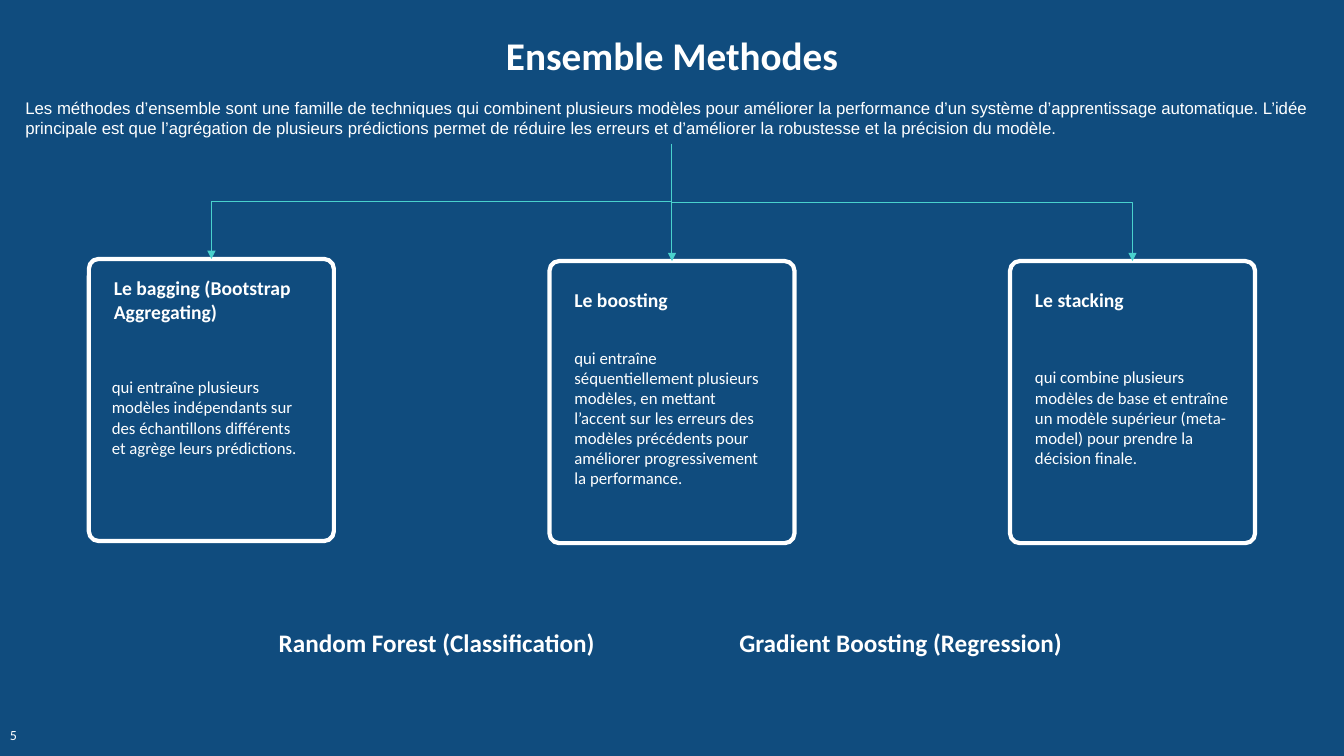
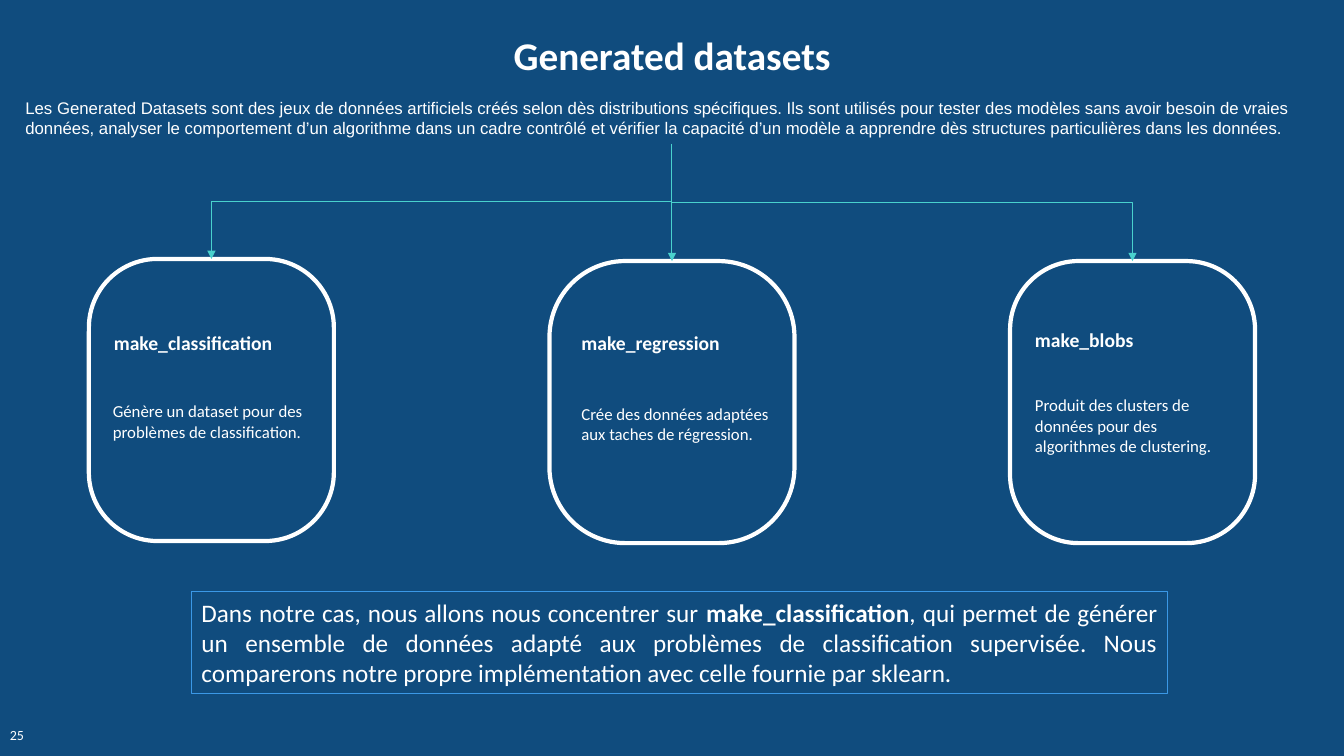
from dataclasses import dataclass

from lxml import etree
from pptx import Presentation
from pptx import util as u
from pptx.dml.color import RGBColor
from pptx.enum import shapes, text
from pptx.oxml import ns

Pt = u.Pt
COLORS = {"background": "104C7E", "text": "FFFFFF", "card": "FFFFFF",
          "arrow": "49D1CD", "note": "3B98E6"}
CARD_LEFT, CARD_STEP, CARD_W, CARD_H = 63.5, 329, 175, 201.5
CARD_TOPS = (185, 186.5, 186.5)
LABEL_LEFT, LABEL_W = 192, 246


@dataclass
class Card:
    heading: str
    heading_top: float
    body: str
    body_top: float
    body_h: float
    radius: float
    heading_indent: float = 10.7
    body_indent: float = 10.7


def rgb(name):
    return RGBColor.from_string(COLORS[name])


def write(tf, content, size=12, font="Calibri", bold=False,
          align=text.PP_ALIGN.LEFT, anchor=text.MSO_ANCHOR.TOP):
    """Fill a frame with a string, or with a list of (string, bold) runs."""
    tf.word_wrap = True
    tf.vertical_anchor = anchor
    p = tf.paragraphs[0]
    p.alignment = align
    runs = [(content, bold)] if isinstance(content, str) else content
    for part, is_bold in runs:
        r = p.add_run()
        r.text = part
        r.font.name, r.font.size, r.font.bold = font, Pt(size), is_bold
        r.font.color.rgb = rgb("text")


def add_text(s, content, left, top, width, height, **fmt):
    sp = s.shapes.add_textbox(Pt(left), Pt(top), Pt(width), Pt(height))
    write(sp.text_frame, content, **fmt)
    return sp


def add_outline(s, kind, left, top, width, height, color, weight):
    sp = s.shapes.add_shape(kind, Pt(left), Pt(top), Pt(width), Pt(height))
    sp.shadow.inherit = False
    sp.fill.background()
    sp.line.color.rgb = rgb(color)
    sp.line.width = Pt(weight)
    return sp


def add_card(s, column, card):
    left = CARD_LEFT + column * CARD_STEP
    sp = add_outline(s, shapes.MSO_SHAPE.ROUNDED_RECTANGLE, left,
                     CARD_TOPS[column], CARD_W, CARD_H, "card", 3)
    sp.adjustments[0] = card.radius
    add_text(s, card.heading, left + card.heading_indent, card.heading_top,
             153.5, 24.5, size=14, bold=True)
    add_text(s, card.body, left + card.body_indent, card.body_top,
             153.5, card.body_h)
    return sp


def turn_down(cxn, x1, y1, x2, y2):
    """Rotate an elbow so that it leaves and arrives vertically."""
    width, height = y2 - y1, abs(x2 - x1)
    cxn.left = int((x1 + x2 - width) / 2)
    cxn.top = int((y1 + y2 - height) / 2)
    cxn.width, cxn.height = width, height
    xfrm = cxn._element.spPr.find(ns.qn("a:xfrm"))
    to_right = x2 > x1
    xfrm.set("flipH", "1" if to_right else "0")
    xfrm.set("rot", str((270 if to_right else 90) * 60000))


def add_arrow(s, source, target):
    """Join the bottom of source to the top of target."""
    x1, y1 = source.left + source.width // 2, source.top + source.height
    x2, y2 = target.left + target.width // 2, target.top
    straight = abs(x2 - x1) < Pt(1)
    kind = shapes.MSO_CONNECTOR.STRAIGHT if straight else shapes.MSO_CONNECTOR.ELBOW
    cxn = s.shapes.add_connector(kind, x1, y1, x2, y2)
    cxn.begin_connect(source, 2)
    cxn.end_connect(target, 0)
    if not straight:
        turn_down(cxn, x1, y1, x2, y2)
    cxn.line.color.rgb = rgb("arrow")
    cxn.line.width = Pt(0.75)
    etree.SubElement(cxn.line._get_or_add_ln(), ns.qn("a:tailEnd"), type="triangle")
    etree.SubElement(cxn._element.spPr, ns.qn("a:effectLst"))


def add_overview(prs, title, intro, cards, number):
    """Add a slide whose introduction branches into three cards."""
    s = prs.slides.add_slide(prs.slide_layouts[6])
    add_text(s, title, 81, 18.5, 798, 41, size=28, bold=True,
             align=text.PP_ALIGN.CENTER, anchor=text.MSO_ANCHOR.MIDDLE)
    intro_box = add_text(s, intro, 11, 66.2, 938, 36.6, font="Arial")
    for column, card in enumerate(cards):
        add_arrow(s, intro_box, add_card(s, column, card))
    add_text(s, number, 0, 510, 28, 29.5, size=10, anchor=text.MSO_ANCHOR.MIDDLE)
    return s


def add_labels(s, labels):
    for i, label in enumerate(labels):
        add_text(s, label, LABEL_LEFT + i * CARD_STEP, 444.2, LABEL_W, 29,
                 size=18, bold=True)


def add_note(s, runs):
    sp = add_outline(s, shapes.MSO_SHAPE.RECTANGLE, 136.8, 422.8, 697, 72.7,
                     "note", 0.75)
    write(sp.text_frame, runs, size=18, align=text.PP_ALIGN.JUSTIFY)


def main():
    prs = Presentation()
    prs.slide_width, prs.slide_height = Pt(960), Pt(540)
    fill = prs.slide_master.background.fill
    fill.solid()
    fill.fore_color.rgb = rgb("background")

    s = add_overview(
        prs, "Ensemble Methodes",
        "Les méthodes d’ensemble sont une famille de techniques qui combinent "
        "plusieurs modèles pour améliorer la performance d’un système "
        "d’apprentissage automatique. L’idée principale est que l’agrégation de "
        "plusieurs prédictions permet de réduire les erreurs et d’améliorer la "
        "robustesse et la précision du modèle.",
        [Card("Le bagging (Bootstrap Aggregating)", 193.7,
              "qui entraîne plusieurs modèles indépendants sur des échantillons "
              "différents et agrège leurs prédictions.",
              265.7, 65.5, 0.04, body_indent=9.3),
         Card("Le boosting", 201.8,
              "qui entraîne séquentiellement plusieurs modèles, en mettant "
              "l’accent sur les erreurs des modèles précédents pour améliorer "
              "progressivement la performance.", 244.5, 109, 0.04),
         Card("Le stacking", 201.8,
              "qui combine plusieurs modèles de base et entraîne un modèle "
              "supérieur (meta-model) pour prendre la décision finale.",
              258.7, 80, 0.04)], "5")
    add_labels(s, ["Random Forest (Classification)", "Gradient Boosting (Regression)"])

    s = add_overview(
        prs, "Generated datasets",
        "Les Generated Datasets sont des jeux de données artificiels créés selon "
        "dès distributions spécifiques. Ils sont utilisés pour tester des modèles "
        "sans avoir besoin de vraies données, analyser le comportement d’un "
        "algorithme dans un cadre contrôlé et vérifier la capacité d’un modèle a "
        "apprendre dès structures particulières dans les données.",
        [Card("make_classification", 232.5,
              "Génère un dataset pour des problèmes de classification.",
              283, 36, 0.28, body_indent=10),
         Card("make_regression", 232.5,
              "Crée des données adaptées aux taches de régression.",
              285, 36, 0.31, heading_indent=15.7, body_indent=15.7),
         Card("make_blobs", 231,
              "Produit des clusters de données pour des algorithmes de clustering.",
              278.7, 51, 0.28)], "25")
    add_note(s, [
        ("Dans notre cas, nous allons nous concentrer sur ", False),
        ("make_classification", True),
        (", qui permet de générer un ensemble de données adapté aux problèmes de "
         "classification supervisée. Nous comparerons notre propre implémentation "
         "avec celle fournie par sklearn.", False)])

    prs.save("out.pptx")


if __name__ == "__main__":
    main()
